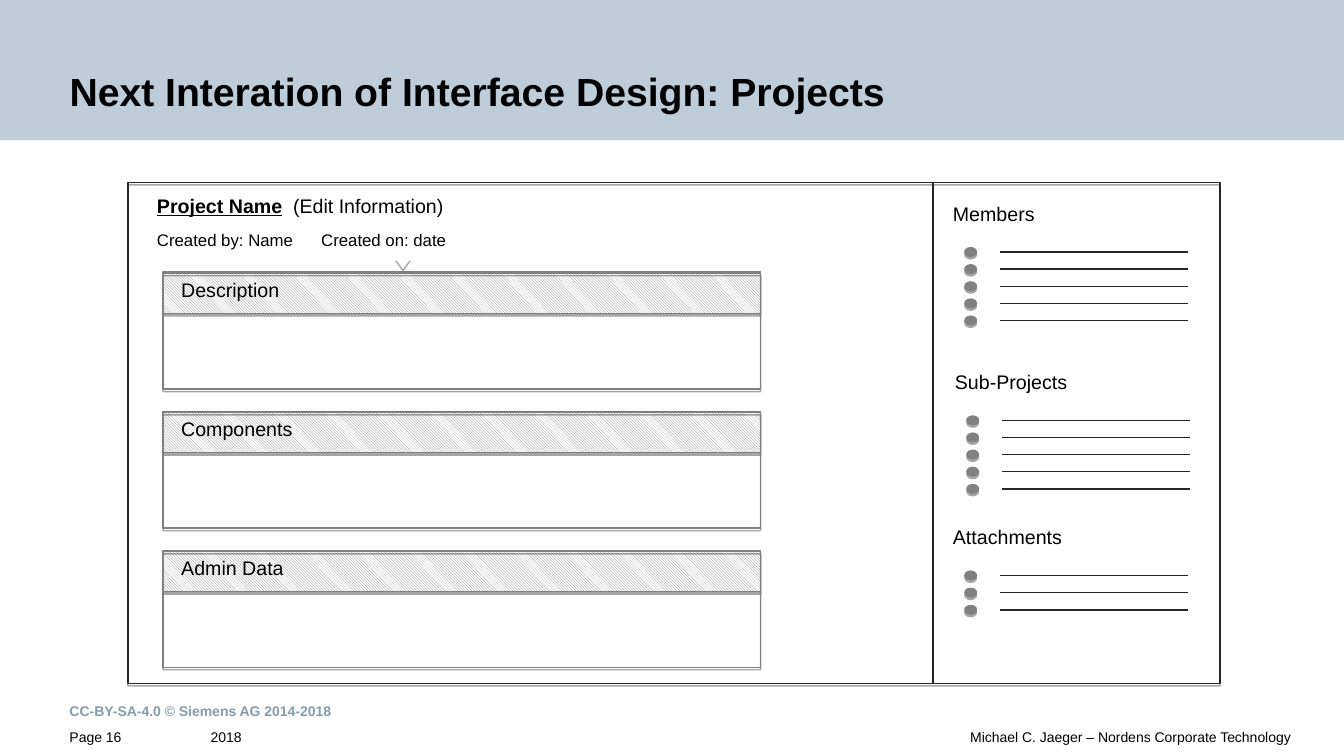
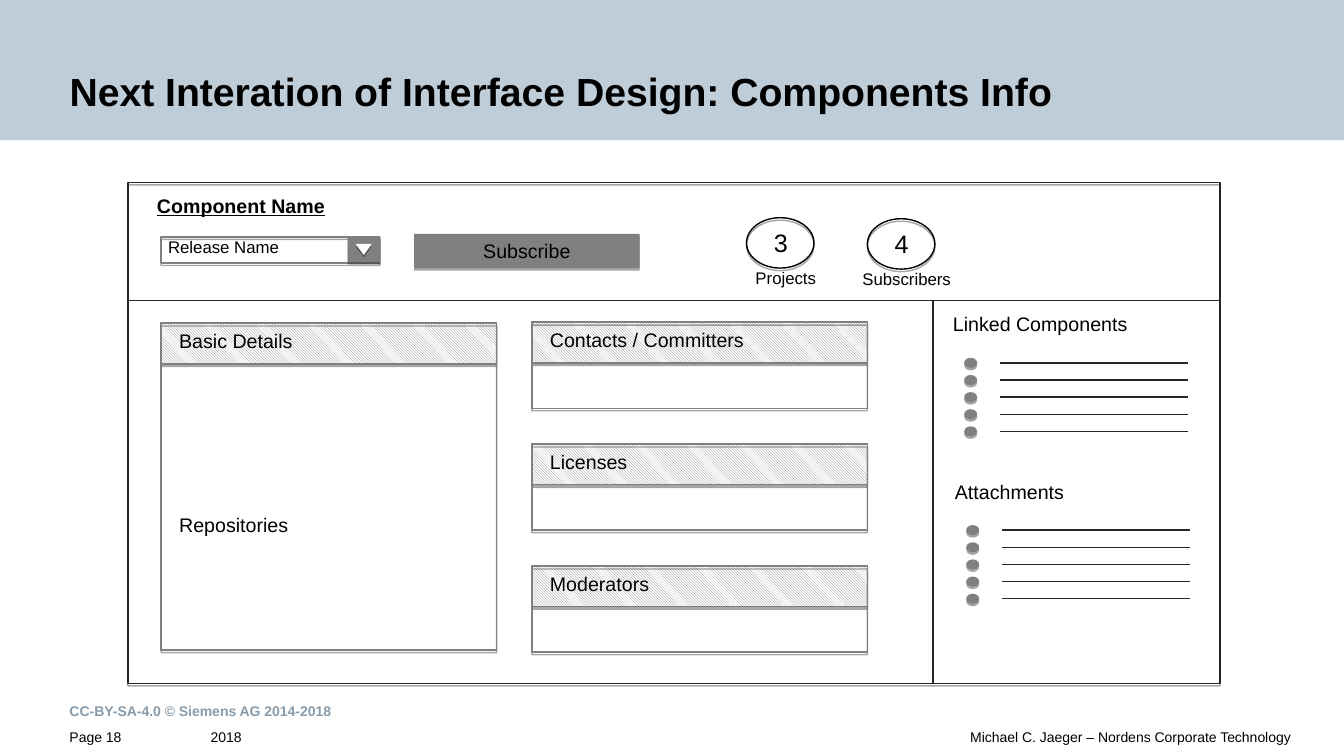
from lxml import etree
from pptx import Presentation
from pptx.dml.color import RGBColor
from pptx.enum.dml import MSO_PATTERN
from pptx.enum.shapes import MSO_CONNECTOR, MSO_SHAPE
from pptx.enum.text import MSO_ANCHOR, MSO_AUTO_SIZE, PP_ALIGN
from pptx.oxml.ns import qn
from pptx.util import Pt

RECT, OVAL, TRI = MSO_SHAPE.RECTANGLE, MSO_SHAPE.OVAL, MSO_SHAPE.ISOSCELES_TRIANGLE
STRAIGHT = MSO_CONNECTOR.STRAIGHT
HATCH = MSO_PATTERN.DARK_DOWNWARD_DIAGONAL
LEFT, MID, RIGHT = PP_ALIGN.LEFT, PP_ALIGN.CENTER, PP_ALIGN.RIGHT
TOP, CENTER, BOTTOM = MSO_ANCHOR.TOP, MSO_ANCHOR.MIDDLE, MSO_ANCHOR.BOTTOM
GROW, FIXED = MSO_AUTO_SIZE.SHAPE_TO_FIT_TEXT, MSO_AUTO_SIZE.NONE

PX = 9144  # 100 px to the inch
WIDE, HIGH, BAND = 1334, 750, 139
FOOT = 721
FONT = "Arial"
COLORS = {
    "band": "BECDD7", "note": "879BAA", "text": "000000", "ink": "262626",
    "gray": "808080", "edge": "7F7F7F", "white": "FFFFFF",
}
FRAME = (127, 181, 1084, 497)
SPLIT = 926


def rgb(name):
    return RGBColor.from_string(COLORS[name])


def emu(*lengths):
    return [n * PX for n in lengths]


def style(par, size, color="text", bold=False, align=LEFT):
    par.alignment = align
    for run in par.runs:
        font = run.font
        font.name, font.size, font.bold = FONT, Pt(size), bold
        font.color.rgb = rgb(color)


def inset(frame, left, top, right, bottom):
    (frame.margin_left, frame.margin_top,
     frame.margin_right, frame.margin_bottom) = emu(left, top, right, bottom)


def cast(shape):
    """Give the shape a thin shadow straight below it."""
    effects = shape.element.spPr.find(qn("a:effectLst"))
    shade = etree.SubElement(effects, qn("a:outerShdw"), blurRad="0",
                             dist=str(Pt(1.8)), dir="5400000", rotWithShape="0")
    tint = etree.SubElement(shade, qn("a:srgbClr"), val=COLORS["text"])
    etree.SubElement(tint, qn("a:alpha"), val="35000")


def draw(slide, kind, box, fill=None, line=None, shadow=True):
    shape = slide.shapes.add_shape(kind, *emu(*box))
    shape.shadow.inherit = False
    if fill == "hatch":
        shape.fill.patterned()
        shape.fill.pattern = HATCH
        shape.fill.fore_color.rgb = rgb("gray")
        shape.fill.back_color.rgb = rgb("white")
    elif fill:
        shape.fill.solid()
        shape.fill.fore_color.rgb = rgb(fill)
    else:
        shape.fill.background()
    if line:
        shape.line.color.rgb = rgb(line)
        shape.line.width = Pt(1)
    else:
        shape.line.fill.background()
    if shadow:
        cast(shape)
    return shape


def rule(slide, x1, y1, x2, y2):
    line = slide.shapes.add_connector(STRAIGHT, *emu(x1, y1, x2, y2))
    line.line.color.rgb = rgb("ink")
    line.line.width = Pt(1)
    etree.SubElement(line.element.spPr, qn("a:effectLst"))


def label(slide, x, y, wide, text, size=14, align=LEFT, tab=None):
    """Add one line of text, with an optional tab stop, and return its paragraph."""
    high = round(size / 0.6) + 10
    box = slide.shapes.add_textbox(*emu(x, y, wide, high))
    frame = box.text_frame
    frame.word_wrap = False
    frame.auto_size = GROW
    if align == LEFT:
        frame.margin_right = 0
    frame.text = text
    par = frame.paragraphs[0]
    if tab:
        stops = etree.SubElement(par._p.get_or_add_pPr(), qn("a:tabLst"))
        etree.SubElement(stops, qn("a:tab"), pos=str(tab * PX), algn="l")
    style(par, size, align=align)
    return par


def foot(slide, box, margins, text, color="text", bold=False,
         align=LEFT, anchor=TOP, space=1.1):
    shape = slide.shapes.add_textbox(*emu(*box))
    frame = shape.text_frame
    frame.word_wrap = True
    frame.vertical_anchor = anchor
    inset(frame, *margins)
    frame.text = text
    par = frame.paragraphs[0]
    par.line_spacing = space
    style(par, 10, color, bold, align)
    return shape


def brand(layout, slide):
    """Build the band and footers on the slide, then move them to the layout."""
    for hold in list(layout.placeholders):
        if hold.placeholder_format.idx:
            hold.element.getparent().remove(hold.element)
    parts = [
        draw(slide, RECT, (0, 0, WIDE, BAND), "band", shadow=False),
        foot(slide, (0, 674, WIDE, 47), (69, 16, 351, 0),
             "CC-BY-SA-4.0 © Siemens AG 2014-2018", "note", True,
             anchor=CENTER, space=1.0),
        foot(slide, (0, FOOT, 430, 28), (209, 0, 0, 13), "2018"),
        foot(slide, (414, FOOT, 920, 28), (0, 0, 53, 13),
             "Michael C. Jaeger – Nordens Corporate Technology", align=RIGHT),
    ]
    for part in parts:
        layout.shapes.element.append(part.element)


def head(slide, text, page):
    title = slide.shapes.title
    title.left, title.top, title.width, title.height = emu(0, 0, WIDE, BAND)
    frame = title.text_frame
    frame.text = text
    frame.word_wrap = True
    frame.auto_size = FIXED
    frame.vertical_anchor = BOTTOM
    inset(frame, 69, 43, 232, 26)
    style(frame.paragraphs[0], 28, bold=True)
    foot(slide, (0, FOOT, 193, 28), (69, 0, 0, 13), f"Page {page}")
    draw(slide, RECT, FRAME, line="ink")


def name(slide, wide, text, tab=None):
    """Write the underlined name of the item, and return its paragraph."""
    par = label(slide, 146, 187, wide, text, tab=tab)
    par.runs[0].font.bold = par.runs[0].font.underline = True
    return par


def panel(slide, x, y, wide, high, text, span):
    draw(slide, RECT, (x, y - 1, wide, 41), "hatch", "edge")
    draw(slide, RECT, (x, y, wide, high), line="gray")
    label(slide, x + 8, y, span, text)


def items(slide, x, y, wide, text, count):
    """Add a heading and a list of dots with lines."""
    label(slide, x, y, wide, text)
    for row in range(count):
        top = y + 50 + 17 * row
        draw(slide, OVAL, (x + 21, top, 13, 10), "gray")
        rule(slide, x + 57, top + 5, x + 243, top + 5)


def arrow(slide, x, y):
    draw(slide, TRI, (x, y, 16, 11), "white").rotation = 180


def count(slide, x, y, number, text, wide):
    draw(slide, OVAL, (x, y, 67, 50), line="text")
    label(slide, x + 17, y + 5, 34, number, 18, MID)
    label(slide, x + 39 - wide // 2, y + 45, wide, text, 12, MID)


def project(slide):
    head(slide, "Next Interation of Interface Design: Projects", 16)
    par = name(slide, 305, "Project Name", tab=135)
    more = par.add_run()
    more.text = "\t(Edit Information)"
    more.font.name, more.font.size = FONT, Pt(14)
    more.font.color.rgb = rgb("text")
    arrow(slide, 392, 256)
    label(slide, 146, 223, 308, "Created by: Name\tCreated on: date", 12, tab=163)
    parts = (("Description", 117), ("Components", 130), ("Admin Data", 122))
    for row, (text, span) in enumerate(parts):
        panel(slide, 162, 271 + 138 * row, 593, 115, text, span)
    rule(slide, SPLIT, 181, SPLIT, 678)
    items(slide, 936, 195, 101, "Members", 5)
    items(slide, 938, 362, 131, "Sub-Projects", 5)
    items(slide, 936, 516, 128, "Attachments", 3)


def component(slide):
    head(slide, "Next Interation of Interface Design: Components Info", 18)
    name(slide, 186, "Component Name")
    draw(slide, RECT, (160, 235, 217, 26), line="gray")
    draw(slide, RECT, (345, 235, 33, 25), "gray")
    arrow(slide, 353, 242)
    label(slide, 157, 230, 130, "Release Name", 12)
    button = draw(slide, RECT, (411, 232, 224, 34), "gray")
    button.text_frame.text = "Subscribe"
    button.text_frame.vertical_anchor = CENTER
    style(button.text_frame.paragraphs[0], 14, align=MID)
    count(slide, 741, 216, "3", "Projects", 80)
    count(slide, 861, 217, "4", "Subscribers", 108)
    rule(slide, SPLIT, 298, SPLIT, 678)
    rule(slide, 127, 298, 1211, 298)
    items(slide, 936, 305, 193, "Linked Components", 5)
    items(slide, 938, 471, 128, "Attachments", 5)
    panel(slide, 160, 321, 333, 324, "Basic Details", 133)
    label(slide, 168, 504, 128, "Repositories")
    parts = (("Contacts / Committers", 213), ("Licenses", 97), ("Moderators", 118))
    for row, (text, span) in enumerate(parts):
        panel(slide, 528, 320 + 121 * row, 333, 85, text, span)


def main():
    deck = Presentation()
    deck.slide_width, deck.slide_height = emu(WIDE, HIGH)
    layout = deck.slide_layouts[5]
    first = deck.slides.add_slide(layout)
    brand(layout, first)
    project(first)
    component(deck.slides.add_slide(layout))
    deck.save("out.pptx")


if __name__ == "__main__":
    main()
